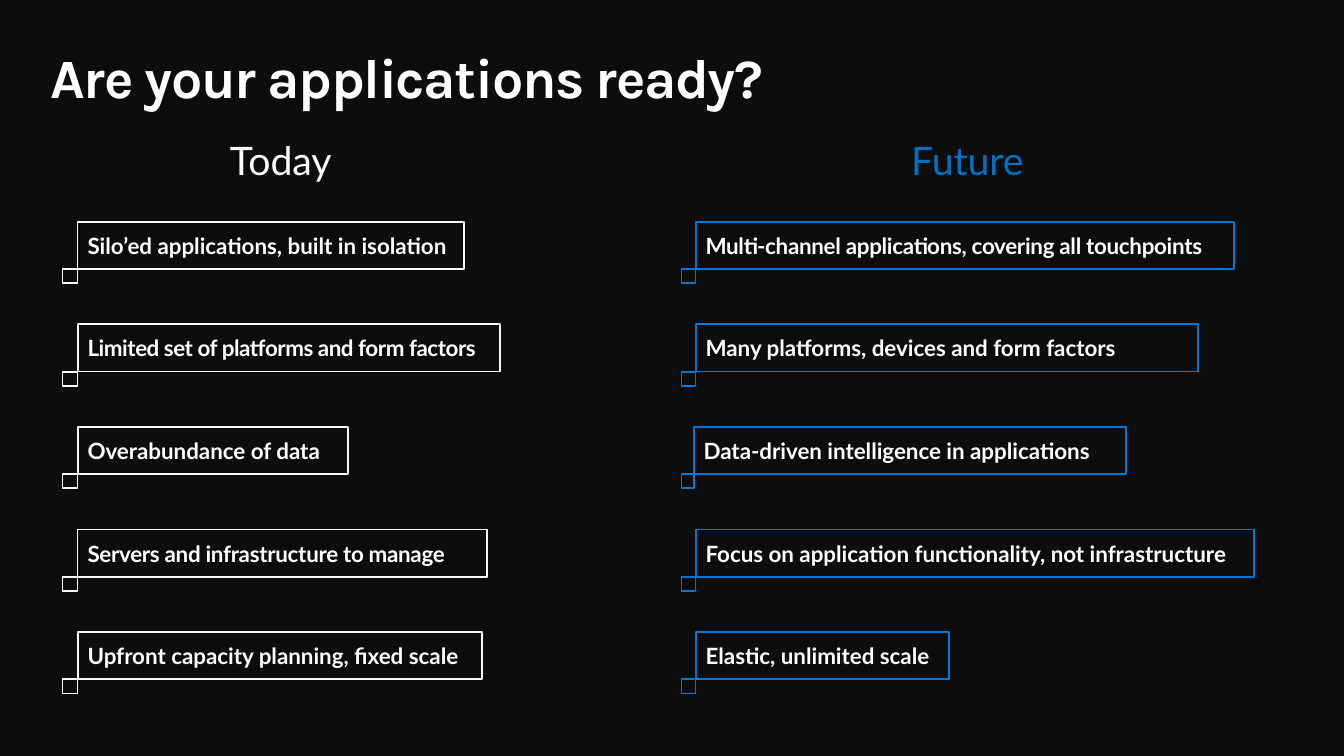
from dataclasses import dataclass

from lxml.etree import SubElement
from pptx import Presentation
from pptx.dml.color import RGBColor
from pptx.enum.shapes import MSO_SHAPE
from pptx.enum.text import MSO_ANCHOR, MSO_AUTO_SIZE, PP_ALIGN
from pptx.oxml.ns import qn
from pptx.util import Inches, Pt


@dataclass(frozen=True)
class Theme:
    background: str = "414241"
    veil: str = "000000"
    veil_alpha: int = 80
    text: str = "FFFFFF"
    today_line: str = "F8F8F8"
    future_line: str = "0078D7"
    future_heading: str = "0070C0"
    title_font: str = "Karla"
    body_font: str = "Lato"
    title_size: float = 39.6
    heading_size: float = 28
    label_size: float = 16
    line_width: float = 1.25


@dataclass(frozen=True)
class Label:
    text: str
    width: float
    spacing: float = 0
    shift: float = 0


@dataclass(frozen=True)
class Column:
    heading: str
    heading_left: float
    heading_color: str
    line_color: str
    marker_left: float
    box_left: float
    labels: tuple


THEME = Theme()
WIDTH, HEIGHT = 13.33, 7.5
MARGIN, BAND_HEIGHT = 0.5, 0.65
HEADING_TOP, HEADING_WIDTH = 1.29, 4.23
FIRST_ROW, LAST_ROW = 2.2, 6.27
BOX_HEIGHT, MARKER_HEIGHT, INSET = 0.47, 0.14, 0.1

COLUMNS = (
    Column("Today", 0.67, THEME.text, THEME.today_line, 0.62, 0.77, (
        Label("Silo’ed applications, built in isolation", 3.83),
        Label("Limited set of platforms and form factors", 4.19, -0.3),
        Label("Overabundance of data", 2.68),
        Label("Servers and infrastructure to manage", 4.06, -0.2),
        Label("Upfront capacity planning, fixed scale", 4.01),
    )),
    Column("Future", 7.48, THEME.future_heading, THEME.future_line, 6.76, 6.9, (
        Label("Multi-channel applications, covering all touchpoints", 5.34, -0.2),
        Label("Many platforms, devices and form factors", 4.98),
        Label("Data-driven intelligence in applications", 4.29, shift=-0.02),
        Label("Focus on application functionality, not infrastructure", 5.54),
        Label("Elastic, unlimited scale", 2.51),
    )),
)


def set_attributes(target, values):
    """Set each named value on the target."""
    for name, value in values.items():
        setattr(target, name, value)


def write_text(shape, text, font, size, color, bold=False, spacing=0,
               inset=0, anchor=MSO_ANCHOR.MIDDLE, fit=MSO_AUTO_SIZE.NONE, **paragraph_format):
    """Write one formatted paragraph into a shape."""
    frame = shape.text_frame
    frame.text = text
    margins = {f"margin_{side}": Inches(inset) for side in ("left", "top", "right", "bottom")}
    set_attributes(frame, {"word_wrap": True, "auto_size": fit, "vertical_anchor": anchor, **margins})
    paragraph = frame.paragraphs[0]
    set_attributes(paragraph, paragraph_format)
    run = paragraph.runs[0]
    set_attributes(run.font, {"name": font, "size": Pt(size), "bold": bold})
    run.font.color.rgb = RGBColor.from_string(color)
    if spacing:
        run.font._element.set("spc", str(round(spacing * 100)))


def add_rectangle(shapes, left, top, width, height):
    """Add a plain rectangle without shadow."""
    shape = shapes.add_shape(MSO_SHAPE.RECTANGLE, *map(Inches, (left, top, width, height)))
    shape.shadow.inherit = False
    return shape


def add_outline(shapes, color, *bounds):
    """Add an unfilled rectangle with a coloured outline."""
    shape = add_rectangle(shapes, *bounds)
    shape.fill.background()
    shape.line.color.rgb = RGBColor.from_string(color)
    shape.line.width = Pt(THEME.line_width)
    return shape


def add_backdrop(slide):
    """Fill the background and lay a translucent veil over it."""
    slide.background.fill.solid()
    slide.background.fill.fore_color.rgb = RGBColor.from_string(THEME.background)
    veil = add_rectangle(slide.shapes, 0, 0, WIDTH, HEIGHT)
    veil.fill.solid()
    veil.fill.fore_color.rgb = RGBColor.from_string(THEME.veil)
    veil.line.fill.background()
    color = veil.element.spPr.find(qn("a:solidFill"))[0]
    SubElement(color, qn("a:alpha")).set("val", str(THEME.veil_alpha * 1000))


def add_title(slide, text):
    """Place the title placeholder in front of the veil."""
    title = slide.shapes.title
    bounds = (MARGIN, MARGIN, WIDTH - 2 * MARGIN, BAND_HEIGHT)
    set_attributes(title, dict(zip(("left", "top", "width", "height"), map(Inches, bounds))))
    write_text(title, text, THEME.title_font, THEME.title_size, THEME.text, bold=True, spacing=-1,
               anchor=MSO_ANCHOR.TOP, alignment=PP_ALIGN.LEFT, line_spacing=0.9)
    title.element.getparent().append(title.element)


def add_heading(slide, column):
    """Add the centred heading of a column."""
    bounds = (column.heading_left, HEADING_TOP, HEADING_WIDTH, BAND_HEIGHT)
    heading = slide.shapes.add_textbox(*map(Inches, bounds))
    write_text(heading, column.heading, THEME.body_font, THEME.heading_size, column.heading_color,
               alignment=PP_ALIGN.CENTER, line_spacing=0.9)


def add_label(slide, column, label, top):
    """Add a group of one labelled box and its corner marker."""
    shapes = slide.shapes.add_group_shape().shapes
    left = column.box_left + label.shift
    box = add_outline(shapes, column.line_color, left, top, label.width, BOX_HEIGHT)
    write_text(box, label.text, THEME.body_font, THEME.label_size, THEME.text, bold=True,
               spacing=label.spacing, inset=INSET, fit=MSO_AUTO_SIZE.SHAPE_TO_FIT_TEXT,
               alignment=PP_ALIGN.LEFT)
    add_outline(shapes, column.line_color, column.marker_left, top + BOX_HEIGHT,
                left - column.marker_left, MARKER_HEIGHT)


def add_column(slide, column):
    """Add a heading with evenly spaced labels below it."""
    add_heading(slide, column)
    pitch = (LAST_ROW - FIRST_ROW) / (len(column.labels) - 1)
    for row, label in enumerate(column.labels):
        add_label(slide, column, label, FIRST_ROW + row * pitch)


def main():
    """Build and save the slide."""
    presentation = Presentation()
    set_attributes(presentation, {"slide_width": Inches(WIDTH), "slide_height": Inches(HEIGHT)})
    slide = presentation.slides.add_slide(presentation.slide_layouts[5])
    add_backdrop(slide)
    for column in COLUMNS:
        add_column(slide, column)
    add_title(slide, "Are your applications ready?")
    presentation.save("out.pptx")


if __name__ == "__main__":
    main()
